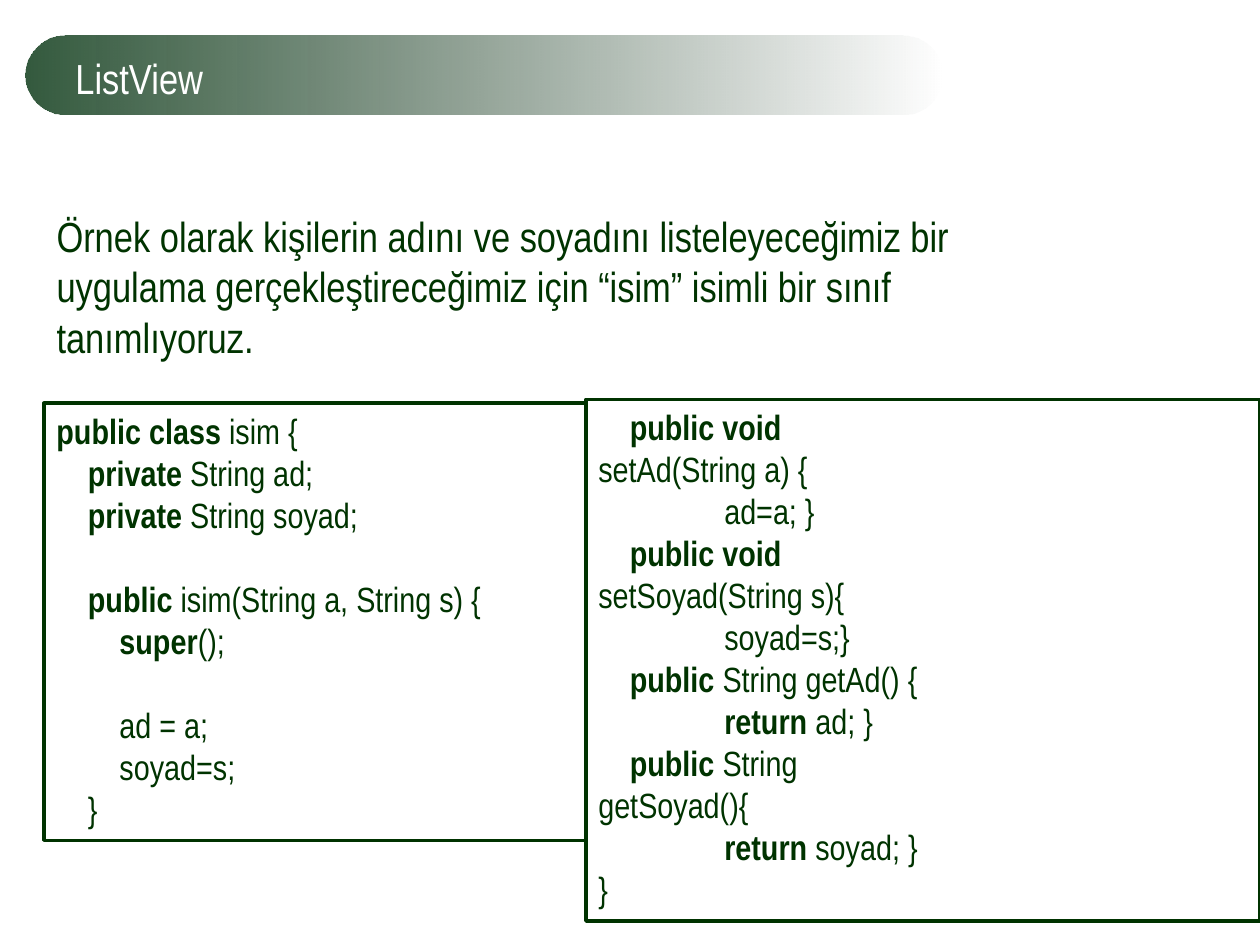
from dataclasses import dataclass

from lxml import etree
from pptx import Presentation
from pptx.dml.color import RGBColor
from pptx.enum import shapes, text
from pptx.oxml.ns import qn
from pptx.util import Inches, Pt


@dataclass(frozen=True)
class Theme:
    """Colours, font and type sizes of the slide."""
    ink: RGBColor = RGBColor.from_string("003300")
    paper: RGBColor = RGBColor.from_string("FFFFFF")
    bar_start: RGBColor = RGBColor.from_string("345A3E")
    bar_end: RGBColor = RGBColor.from_string("25402C")
    font: str = "Arial Narrow"
    heading: int = 24
    code: int = 20
    code_line: int = 24
    border: int = 2


THEME = Theme()

TITLE = "ListView"
INTRO = ("Örnek olarak kişilerin adını ve soyadını listeleyeceğimiz bir "
         "uygulama gerçekleştireceğimiz için “isim” isimli bir sınıf tanımlıyoruz.")

# Code lines: first-line indent in inches, keyword, rest, blank line above
CLASS_CODE = [
    (0, "public class", " isim {", False),
    (0.25, "private ", "String ad;", False),
    (0.25, "private ", "String soyad;", False),
    (0.25, "public", " isim(String a, String s) {", True),
    (0.5, "super", "();", False),
    (0.5, "", "ad = a;", True),
    (0.5, "", "soyad=s;", False),
    (0.25, "", "}", False),
]
METHOD_CODE = [
    (0.25, "public void ", "setAd(String a) {", False),
    (1, "", "ad=a; }", False),
    (0.25, "public void ", "setSoyad(String s){", False),
    (1, "", "soyad=s;}", False),
    (0.25, "public ", "String getAd() {", False),
    (1, "return", " ad; }", False),
    (0.25, "public ", "String getSoyad(){", False),
    (1, "return ", "soyad; }", False),
    (0, "", "}", False),
]

BAR_AREA = (0.2, 0.28, 7.28, 0.63)
TITLE_AREA = (0.5, 0.29, 9, 0.65)
INTRO_AREA = (0.35, 1.62, 7.72, 1.31)
CLASS_AREA = (0.35, 3.2, 7.56, 3.47)
METHOD_AREA = (4.65, 3.17, 5.35, 4.14)


def place(area):
    """Turn left, top, width and height in inches into lengths."""
    return [Inches(length) for length in area]


def style_run(run, size, color, bold=False):
    """Apply the theme font to a run."""
    run.font.name = THEME.font
    run.font.size = Pt(size)
    run.font.bold = bold
    run.font.color.rgb = color


def add_bar(slide, area):
    """Add the rounded title bar that fades out to the right."""
    bar = slide.shapes.add_shape(shapes.MSO_SHAPE.ROUNDED_RECTANGLE, *place(area))
    bar.adjustments[0] = 0.5
    bar.shadow.inherit = False
    bar.line.fill.background()
    bar.fill.gradient()
    bar.fill.gradient_angle = 0
    start, end = bar.fill.gradient_stops
    start.position, end.position = 0, 1
    start.color.rgb, end.color.rgb = THEME.bar_start, THEME.bar_end
    end_color = list(bar.element.iter(qn("a:srgbClr")))[-1]
    etree.SubElement(end_color, qn("a:alpha"), val="0")


def add_text(slide, area, content, color, anchor):
    """Add a wrapped text box in the heading size."""
    frame = slide.shapes.add_textbox(*place(area)).text_frame
    frame.word_wrap = True
    frame.vertical_anchor = anchor
    frame.text = content
    style_run(frame.paragraphs[0].runs[0], THEME.heading, color)


def add_code(slide, area, lines):
    """Add a bordered two-column code box with bold keywords."""
    box = slide.shapes.add_shape(shapes.MSO_SHAPE.RECTANGLE, *place(area))
    box.shadow.inherit = False
    box.fill.solid()
    box.fill.fore_color.rgb = THEME.paper
    box.line.color.rgb = THEME.ink
    box.line.width = Pt(THEME.border)
    frame = box.text_frame
    frame.word_wrap = True
    frame.auto_size = text.MSO_AUTO_SIZE.SHAPE_TO_FIT_TEXT
    frame.vertical_anchor = text.MSO_ANCHOR.TOP
    frame._txBody.bodyPr.set("numCol", "2")
    for index, (indent, keyword, rest, gap) in enumerate(lines):
        paragraph = frame.add_paragraph() if index else frame.paragraphs[0]
        paragraph.alignment = text.PP_ALIGN.LEFT
        properties = paragraph._p.get_or_add_pPr()
        properties.set("marL", "0")
        properties.set("indent", str(Inches(indent)))
        if gap:
            paragraph.space_before = Pt(THEME.code_line)
        for content, bold in ((keyword, True), (rest, False)):
            if content:
                run = paragraph.add_run()
                run.text = content
                style_run(run, THEME.code, THEME.ink, bold)


presentation = Presentation()
presentation.slide_width, presentation.slide_height = Inches(10), Inches(7.5)
slide = presentation.slides.add_slide(presentation.slide_layouts[6])

add_bar(slide, BAR_AREA)
add_text(slide, TITLE_AREA, TITLE, THEME.paper, text.MSO_ANCHOR.MIDDLE)
add_code(slide, CLASS_AREA, CLASS_CODE)
add_text(slide, INTRO_AREA, INTRO, THEME.ink, text.MSO_ANCHOR.TOP)
add_code(slide, METHOD_AREA, METHOD_CODE)

presentation.save("out.pptx")
